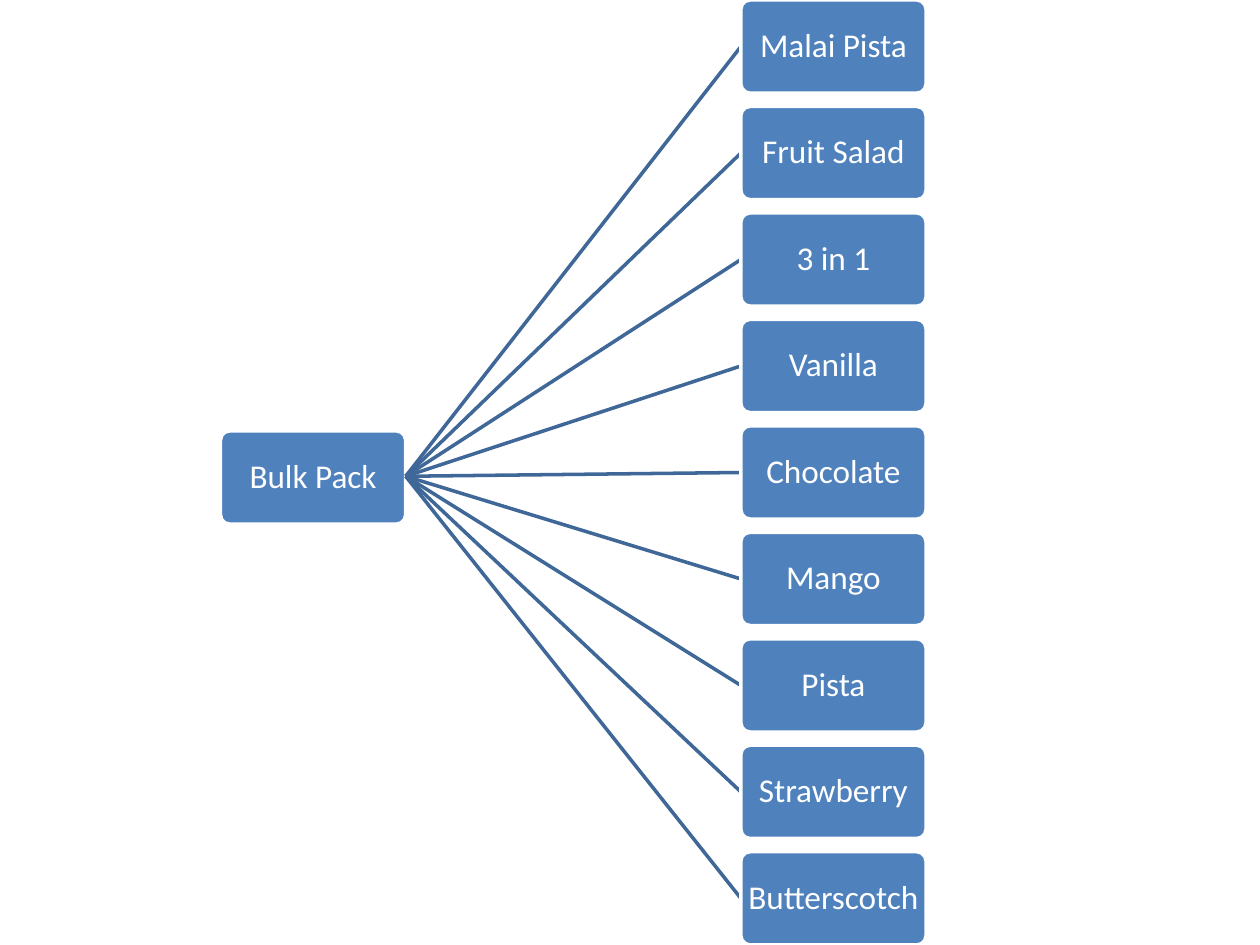
from lxml import etree
from pptx import Presentation
from pptx.dml.color import RGBColor
from pptx.enum.shapes import MSO_CONNECTOR, MSO_SHAPE
from pptx.enum.text import MSO_ANCHOR, PP_ALIGN
from pptx.oxml.ns import qn
from pptx.util import Inches, Pt

ROUNDED = MSO_SHAPE.ROUNDED_RECTANGLE
STRAIGHT = MSO_CONNECTOR.STRAIGHT
MIDDLE = MSO_ANCHOR.MIDDLE
CENTER = PP_ALIGN.CENTER

SLIDE_W, SLIDE_H = 10, 7.5
NODE_W, NODE_H = 1.47, 0.74
BLUE, DARK_BLUE, WHITE = "4F81BD", "3F6797", "FFFFFF"
FLAVOURS = ["Malai Pista", "Fruit Salad", "3 in 1", "Vanilla", "Chocolate",
            "Mango", "Pista", "Strawberry", "Butterscotch"]


def paint(fmt, color):
    """Give a fill or font colour format a solid hex colour."""
    fmt.rgb = RGBColor.from_string(color)


def add_node(s, x, y, text):
    """Draw one rounded box with its centred label."""
    sp = s.shapes.add_shape(ROUNDED, Inches(x), Inches(y), Inches(NODE_W), Inches(NODE_H))
    sp.adjustments[0] = 0.1
    sp.shadow.inherit = False
    sp.fill.solid()
    paint(sp.fill.fore_color, BLUE)
    paint(sp.line.color, WHITE)
    sp.line.width = Pt(2)
    tf = sp.text_frame
    tf.word_wrap = True
    tf.vertical_anchor = MIDDLE
    tf.margin_left = tf.margin_right = tf.margin_top = tf.margin_bottom = Inches(0.01)
    p = tf.paragraphs[0]
    p.alignment = CENTER
    p.line_spacing = 0.9
    r = p.add_run()
    r.text = text
    r.font.size = Pt(19)
    r.font.name = "Calibri"
    paint(r.font.color, WHITE)


def add_branch(s, x1, y1, x2, y2):
    """Draw one straight branch line."""
    ln = s.shapes.add_connector(STRAIGHT, Inches(x1), Inches(y1), Inches(x2), Inches(y2))
    paint(ln.line.color, DARK_BLUE)
    ln.line.width = Pt(2)
    etree.SubElement(ln._element.spPr, qn("a:effectLst"))


def add_tree(s, left, top, width, height, root, leaves):
    """Draw a root at the left of the box joined to a column of leaves at its right."""
    leaf_x = left + width - NODE_W
    pitch = (height - NODE_H) / (len(leaves) - 1)
    root_y = top + 3.42
    add_node(s, left, root_y, root)
    for i, leaf in enumerate(leaves):
        leaf_y = top + i * pitch
        add_branch(s, left + NODE_W, root_y + NODE_H / 2 - 0.01, leaf_x, leaf_y + NODE_H / 2)
        add_node(s, leaf_x, leaf_y, leaf)


prs = Presentation()
prs.slide_width, prs.slide_height = Inches(SLIDE_W), Inches(SLIDE_H)
s = prs.slides.add_slide(prs.slide_layouts[6])
add_tree(s, 0.175 * SLIDE_W, 0, 0.56 * SLIDE_W, SLIDE_H, "Bulk Pack", FLAVOURS)
prs.save("out.pptx")
